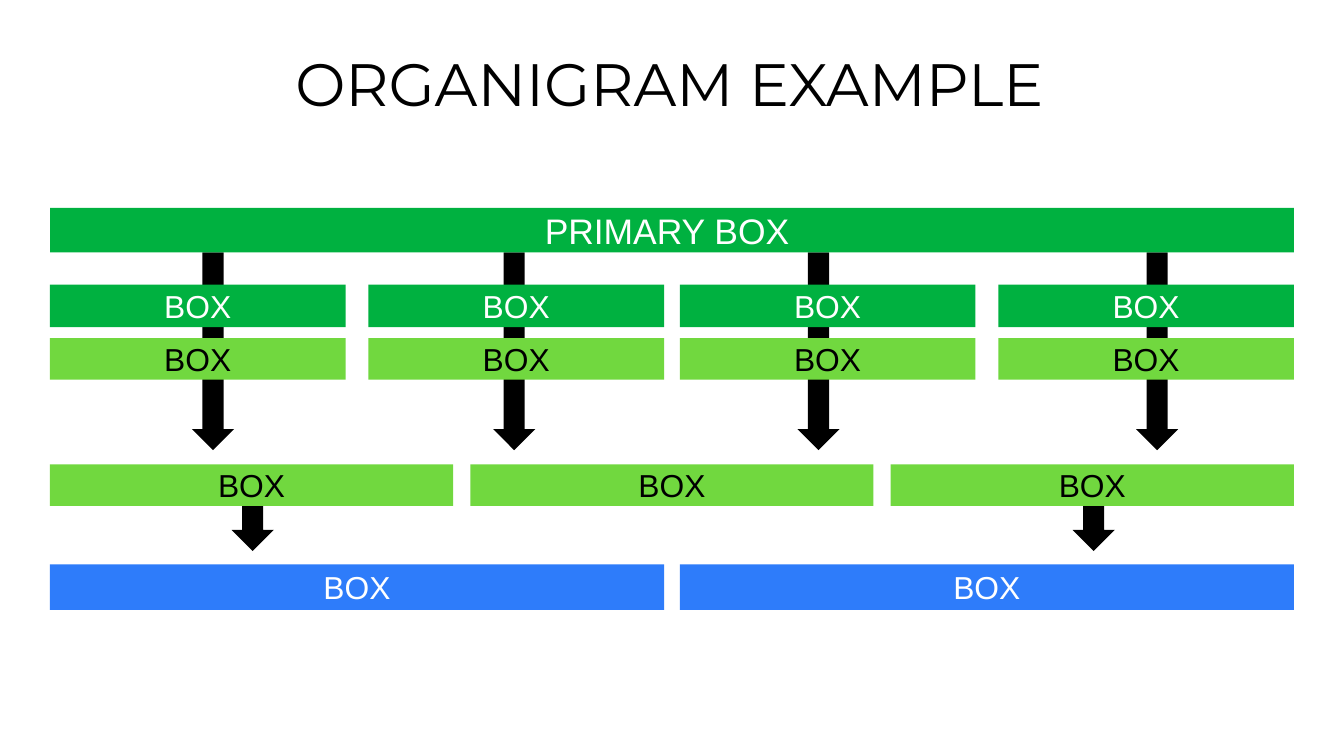
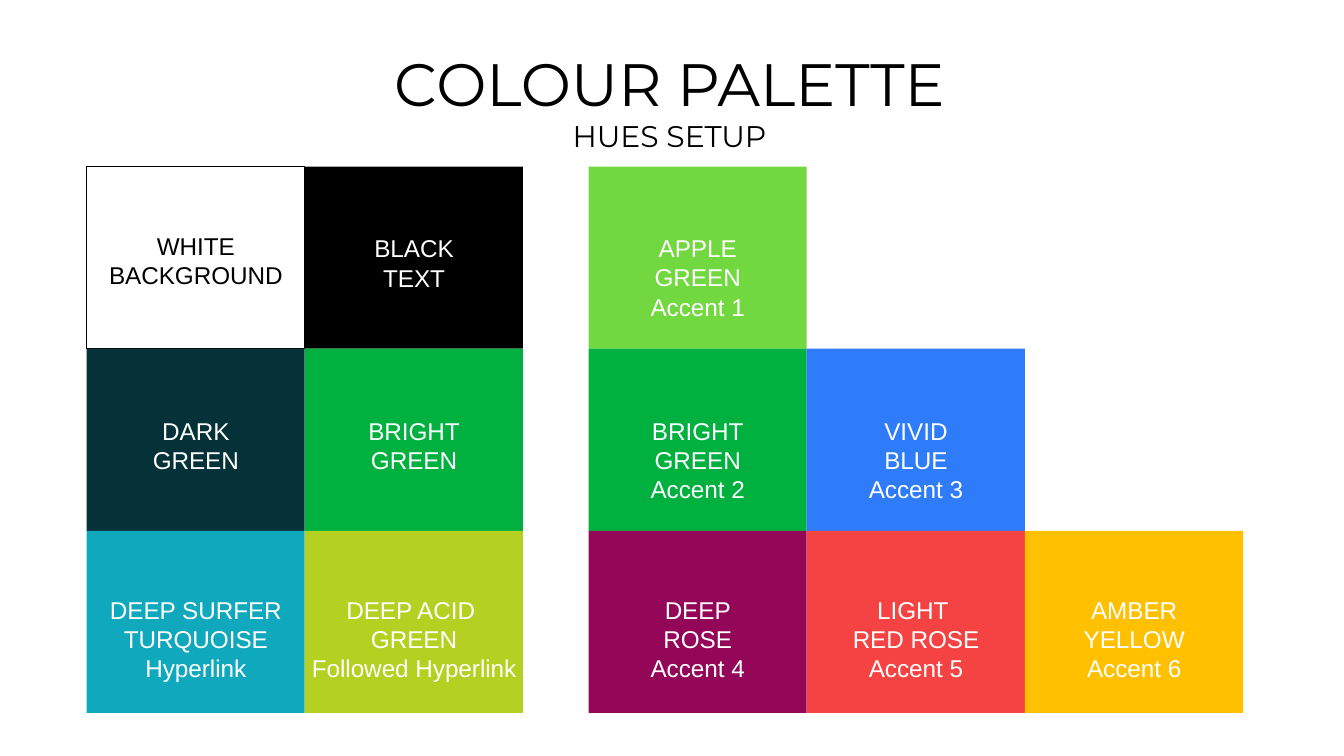
from pptx import Presentation
from pptx.dml.color import RGBColor
from pptx.enum.shapes import MSO_SHAPE
from pptx.enum.text import MSO_ANCHOR, PP_ALIGN
from pptx.util import Pt

BLACK, WHITE = "000000", "FFFFFF"
APPLE, BRIGHT, BLUE = "71D83F", "00B140", "2E7CFA"
TITLE_FONT, BODY_FONT = "Montserrat", "Arial"
HEADING_LEFT, HEADING_WIDTH = 45.2, 627


def colour(value):
    return RGBColor.from_string(value)


def write(frame, lines, font, size, ink, anchor, spacing=None):
    frame.word_wrap = True
    frame.vertical_anchor = anchor
    for index, line in enumerate(lines):
        para = frame.paragraphs[0] if index == 0 else frame.add_paragraph()
        para.text = line
        para.alignment = PP_ALIGN.CENTER
        if spacing:
            para.line_spacing = spacing
        para.font.name = font
        para.font.size = Pt(size)
        para.font.color.rgb = colour(ink)


def add_block(shapes, kind, left, top, width, height, fill, outline=None):
    block = shapes.add_shape(kind, Pt(left), Pt(top), Pt(width), Pt(height))
    block.shadow.inherit = False
    block.fill.solid()
    block.fill.fore_color.rgb = colour(fill)
    if outline:
        block.line.color.rgb = colour(outline)
        block.line.width = Pt(0.25)
    else:
        block.line.fill.background()
    return block


def add_text(shapes, left, top, width, height, inset=True):
    box = shapes.add_textbox(Pt(left), Pt(top), Pt(width), Pt(height))
    frame = box.text_frame
    if not inset:
        frame.margin_left = frame.margin_right = 0
        frame.margin_top = frame.margin_bottom = 0
    return frame


def add_page(deck, title, subtitle=None):
    page = deck.slides.add_slide(deck.slide_layouts[6])
    page.background.fill.solid()
    page.background.fill.fore_color.rgb = colour(WHITE)
    frame = add_text(page.shapes, HEADING_LEFT, 32.4, HEADING_WIDTH, 21, inset=False)
    write(frame, [title], TITLE_FONT, 32, BLACK, MSO_ANCHOR.TOP, spacing=0.8)
    if subtitle:
        frame = add_text(page.shapes, HEADING_LEFT, 59.6, HEADING_WIDTH, 26, inset=False)
        write(frame, [subtitle], TITLE_FONT, 16, BLACK, MSO_ANCHOR.MIDDLE)
    return page


def spread(left, width, count, cell):
    """Left edges of equal cells that fill a width with equal gaps."""
    pitch = (width - cell) / (count - 1)
    return [left + index * pitch for index in range(count)]


def draw_organigram(page, left, top, width):
    shapes = page.shapes.add_group_shape().shapes
    half, third, quarter = 329, 216, 158.4
    halves = spread(left, width, 2, half)
    thirds = spread(left, width, 3, third)
    quarters = [x for start in halves for x in spread(start, half, 2, quarter)]

    arrows = [(x, 23.8, 106) for x in (76, 237.4, 400.4, 581.8)]
    arrows += [(x, 159.4, 24.4) for x in (97.3, 547.8)]
    for x, y, height in arrows:
        add_block(shapes, MSO_SHAPE.DOWN_ARROW, left + x, top + y, 22.6, height, BLACK)

    rows = [
        ([left], width, 0, 23.8, BRIGHT, WHITE, "PRIMARY BOX ", 19),
        (quarters, quarter, 41.1, 22.8, BRIGHT, WHITE, "BOX", 17),
        (quarters, quarter, 69.8, 22.2, APPLE, BLACK, "BOX", 17),
        (thirds, third, 137.4, 22.3, APPLE, BLACK, "BOX", 17),
        (halves, half, 191, 24.3, BLUE, WHITE, "BOX", 17),
    ]
    for edges, cell, y, height, fill, ink, label, size in rows:
        for x in edges:
            box = add_block(shapes, MSO_SHAPE.RECTANGLE, x, top + y, cell, height, fill)
            write(box.text_frame, [label], BODY_FONT, size, ink, MSO_ANCHOR.MIDDLE)


def draw_swatches(page, left, top, rows):
    shapes = page.shapes.add_group_shape().shapes
    cell_width, cell_height, overhang = 116.9, 97.6, 6.5
    cells = [
        (left + column * cell_width, top + row * cell_height, row, fill, lines)
        for row, swatches in enumerate(rows)
        for column, (fill, *lines) in enumerate(swatches)
    ]
    for x, y, row, fill, lines in cells:
        outline = BLACK if fill == WHITE else None
        add_block(shapes, MSO_SHAPE.RECTANGLE, x, y, cell_width, cell_height, fill, outline)
    for x, y, row, fill, lines in cells:
        drop = 31 if row == 2 or fill == WHITE else 32.4
        frame = add_text(shapes, x - overhang, y + drop,
                         cell_width + 2 * overhang, 7.2 + 15.8 * len(lines))
        ink = BLACK if fill == WHITE else WHITE
        write(frame, lines, BODY_FONT, 13, ink, MSO_ANCHOR.TOP)


BASE_HUES = [
    [(WHITE, "WHITE", "BACKGROUND"), (BLACK, "BLACK", "TEXT")],
    [("053238", "DARK", "GREEN"), ("00B13F", "BRIGHT", "GREEN")],
    [("10A8BC", "DEEP SURFER", "TURQUOISE", "Hyperlink"),
     ("B4D020", "DEEP ACID ", "GREEN", "Followed Hyperlink")],
]
ACCENT_HUES = [
    [(APPLE, "APPLE", "GREEN", "Accent 1")],
    [(BRIGHT, "BRIGHT", "GREEN", "Accent 2"), (BLUE, "VIVID", "BLUE", "Accent 3")],
    [("940758", "DEEP", "ROSE", "Accent 4"),
     ("F54343", "LIGHT ", "RED ROSE", "Accent 5"),
     ("FFC000", "AMBER", "YELLOW", "Accent 6")],
]


def main():
    deck = Presentation()
    deck.slide_width, deck.slide_height = Pt(720), Pt(405)
    page = add_page(deck, "ORGANIGRAM EXAMPLE")
    draw_organigram(page, 26.8, 111.4, 666.4)
    page = add_page(deck, "COLOUR PALETTE", "HUES SETUP")
    draw_swatches(page, 46.4, 89.2, BASE_HUES)
    draw_swatches(page, 315.3, 89.2, ACCENT_HUES)
    deck.save("out.pptx")


if __name__ == "__main__":
    main()
